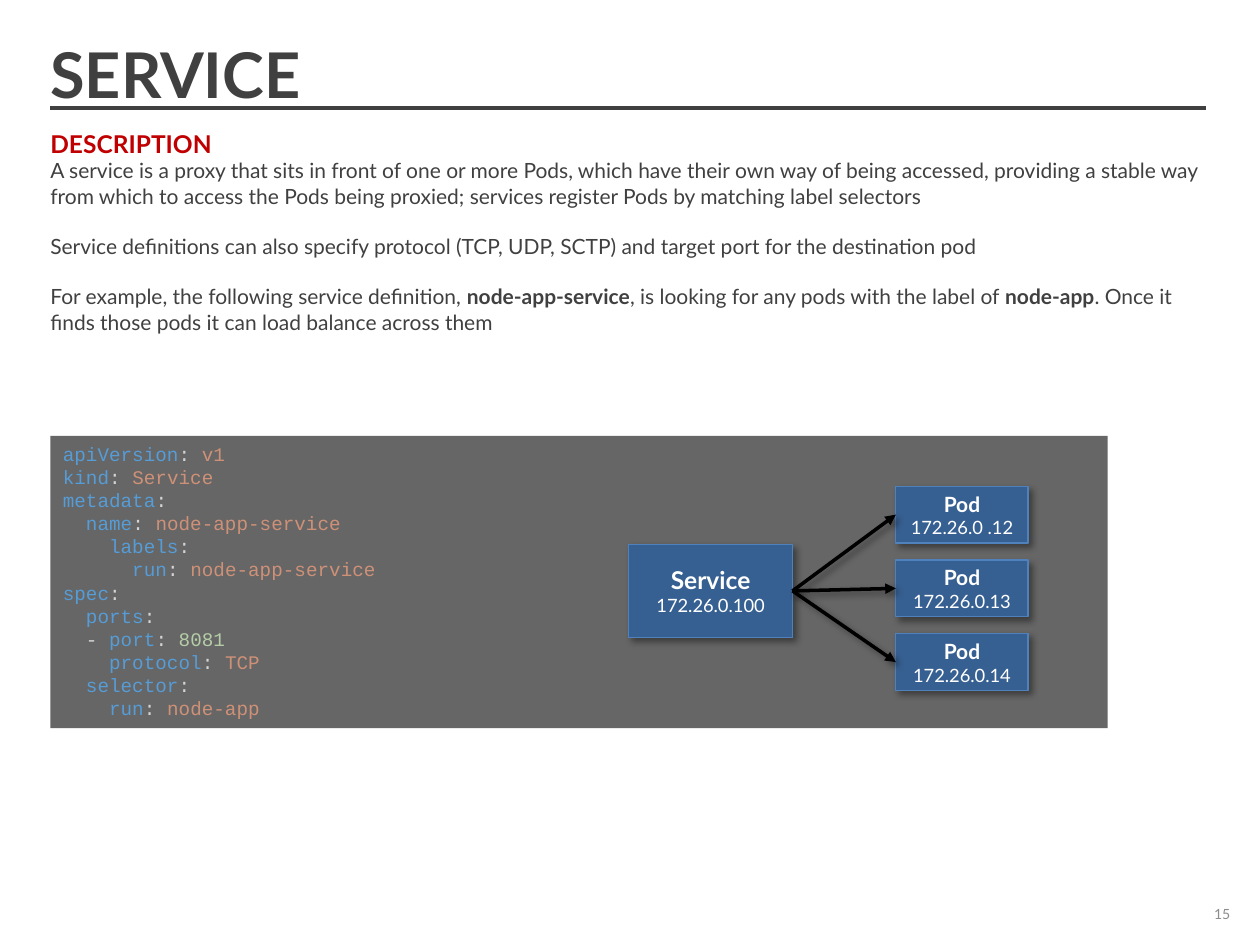
from dataclasses import dataclass

from pptx import Presentation
from pptx import oxml
from pptx import util as u
from pptx.dml.color import RGBColor
from pptx.enum import shapes, text
from pptx.oxml import ns

INK = RGBColor(0x40, 0x40, 0x40)
RED = RGBColor(0xC0, 0x00, 0x00)
GREY = RGBColor(0x8C, 0x8C, 0x8C)
PANEL = RGBColor(0x66, 0x66, 0x66)
NODE_FILL = RGBColor(0x37, 0x60, 0x92)
NODE_EDGE = RGBColor(0x4F, 0x81, 0xBD)
BLACK = RGBColor(0x00, 0x00, 0x00)
WHITE = RGBColor(0xFF, 0xFF, 0xFF)
CODE_KEY = RGBColor(0x56, 0x9C, 0xD6)
CODE_MARK = RGBColor(0xD4, 0xD4, 0xD4)
CODE_STRING = RGBColor(0xCE, 0x91, 0x78)
CODE_NUMBER = RGBColor(0xB5, 0xCE, 0xA8)

SANS, MONO = "Lato", "Courier New"

DESCRIPTION = [
    [("A service is a proxy that sits in front of one or more Pods, which have their own way of "
      "being accessed, providing a stable way from which to access the Pods being proxied; "
      "services register Pods by matching label selectors", False)],
    [("Service definitions can also specify protocol (TCP, UDP, SCTP) and target port for the "
      "destination pod", False)],
    [("For example, the following service definition, ", False),
     ("node-app-service", True),
     (", is looking for any pods with the label of ", False),
     ("node-app", True),
     (". Once it finds those pods it can load balance across them", False)],
]

MANIFEST = """\
apiVersion: v1
kind: Service
metadata:
  name: node-app-service
    labels:
      run: node-app-service
spec:
  ports:
  - port: 8081
    protocol: TCP
  selector:
    run: node-app"""

POD_ADDRESSES = ["172.26.0 .12", "172.26.0.13", "172.26.0.14"]


@dataclass
class Box:
    """A region in inches."""
    left: float
    top: float
    width: float
    height: float

    def emu(self):
        return [u.Inches(n) for n in (self.left, self.top, self.width, self.height)]

    def inner(self, left, top, width, height):
        return Box(self.left + left, self.top + top, width, height)


def add_span(para, words, size, color, bold=False, face=SANS):
    span = para.add_run()
    span.text = words
    span.font.name = face
    span.font.size = u.Pt(size)
    span.font.bold = bold
    span.font.color.rgb = color


def add_frame(page, box, margin=None):
    frame = page.shapes.add_textbox(*box.emu()).text_frame
    frame.word_wrap = True
    if margin is not None:
        frame.margin_left = frame.margin_right = u.Inches(margin)
        frame.margin_top = frame.margin_bottom = u.Inches(margin)
    return frame


def cast_shadow(shape):
    """Give a shape or connector a soft black shadow to the lower right."""
    effects = oxml.parse_xml(
        f'<a:effectLst {ns.nsdecls("a")}>'
        f'<a:outerShdw blurRad="{u.Pt(4)}" dist="{u.Pt(3)}" dir="{45 * 60000}" rotWithShape="0">'
        '<a:srgbClr val="000000"><a:alpha val="40000"/></a:srgbClr>'
        '</a:outerShdw></a:effectLst>')
    shape.element.spPr.append(effects)


def add_title(page, box):
    frame = add_frame(page, box.inner(0, 0, 8.77, 0.59), margin=0)
    para = frame.paragraphs[0]
    para.line_spacing = u.Pt(42)
    add_span(para, "SERVICE", 36, INK, bold=True)

    left, top, width, height = box.emu()
    rule = page.shapes.add_connector(
        shapes.MSO_CONNECTOR.STRAIGHT, left, top + height, left + width, top + height)
    rule.line.color.rgb = INK
    rule.line.width = u.Pt(2.25)
    rule.element.spPr.append(oxml.parse_xml(f'<a:effectLst {ns.nsdecls("a")}/>'))


def add_description(page, box):
    frame = add_frame(page, box, margin=0)
    add_span(frame.paragraphs[0], "DESCRIPTION", 14, RED, bold=True)
    for index, spans in enumerate(DESCRIPTION):
        para = frame.add_paragraph()
        para.space_before = u.Pt(14.4 if index else 0)
        for words, bold in spans:
            add_span(para, words, 12, INK, bold)


def add_code_panel(page, box):
    panel = page.shapes.add_shape(shapes.MSO_SHAPE.RECTANGLE, *box.emu())
    panel.shadow.inherit = False
    panel.fill.solid()
    panel.fill.fore_color.rgb = PANEL
    panel.line.fill.background()
    frame = panel.text_frame
    frame.word_wrap = True
    frame.vertical_anchor = text.MSO_ANCHOR.TOP
    for index, line in enumerate(MANIFEST.splitlines()):
        para = frame.add_paragraph() if index else frame.paragraphs[0]
        para.alignment = text.PP_ALIGN.LEFT
        key, colon, value = line.partition(":")
        dash, mark, name = key.rpartition("- ") if "- " in key else ("", "", key)
        value = value.strip()
        pieces = [
            (dash + mark, CODE_MARK),
            (name, CODE_KEY),
            (colon + " " if value else colon, CODE_MARK),
            (value, CODE_NUMBER if value.isdigit() else CODE_STRING),
        ]
        for words, color in pieces:
            if words:
                add_span(para, words, 11, color, face=MONO)


def add_node(page, box, name, address, name_size):
    node = page.shapes.add_shape(shapes.MSO_SHAPE.FLOWCHART_PROCESS, *box.emu())
    node.fill.solid()
    node.fill.fore_color.rgb = NODE_FILL
    node.line.color.rgb = NODE_EDGE
    node.line.width = u.Pt(0.75)
    cast_shadow(node)
    frame = node.text_frame
    frame.word_wrap = True
    frame.vertical_anchor = text.MSO_ANCHOR.MIDDLE
    first, second = frame.paragraphs[0], frame.add_paragraph()
    first.alignment = second.alignment = text.PP_ALIGN.CENTER
    add_span(first, name, name_size, WHITE, bold=True)
    add_span(second, address, 10.5, WHITE)
    return node


def add_arrow(page, source, target):
    arrow = page.shapes.add_connector(shapes.MSO_CONNECTOR.STRAIGHT, 0, 0, 0, 0)
    arrow.begin_connect(source, 3)
    arrow.end_connect(target, 1)
    arrow.line.color.rgb = BLACK
    arrow.line.width = u.Pt(2)
    arrow.line._get_or_add_ln().append(
        oxml.parse_xml(f'<a:tailEnd {ns.nsdecls("a")} type="triangle"/>'))
    cast_shadow(arrow)


def add_service_diagram(page, box):
    """Draw the service at the left of the box, with arrows to the pods stacked at its right."""
    service = add_node(page, box.inner(0, 0.46, 1.3, 0.74), "Service", "172.26.0.100", 14)
    pod_width, pod_height = 1.05, 0.45
    pitch = (box.height - pod_height) / (len(POD_ADDRESSES) - 1)
    pods = [
        add_node(page, box.inner(box.width - pod_width, index * pitch, pod_width, pod_height),
                 "Pod", address, 12)
        for index, address in enumerate(POD_ADDRESSES)
    ]
    for pod in pods:
        add_arrow(page, service, pod)


def add_page_number(page, box):
    frame = add_frame(page, box)
    frame.vertical_anchor = text.MSO_ANCHOR.MIDDLE
    para = frame.paragraphs[0]
    para.alignment = text.PP_ALIGN.CENTER
    add_span(para, "15", 8, GREY)


def main():
    deck = Presentation()
    deck.slide_width, deck.slide_height = u.Inches(10), u.Inches(7.5)
    page = deck.slides.add_slide(deck.slide_layouts[6])
    add_title(page, Box(0.4, 0.3, 9.17, 0.56))
    add_description(page, Box(0.4, 1.02, 9.17, 1.65))
    add_page_number(page, Box(9.4, 7, 0.6, 0.5))
    add_code_panel(page, Box(0.4, 3.46, 8.39, 2.32))
    add_service_diagram(page, Box(4.99, 3.86, 3.17, 1.62))
    deck.save("out.pptx")


if __name__ == "__main__":
    main()
